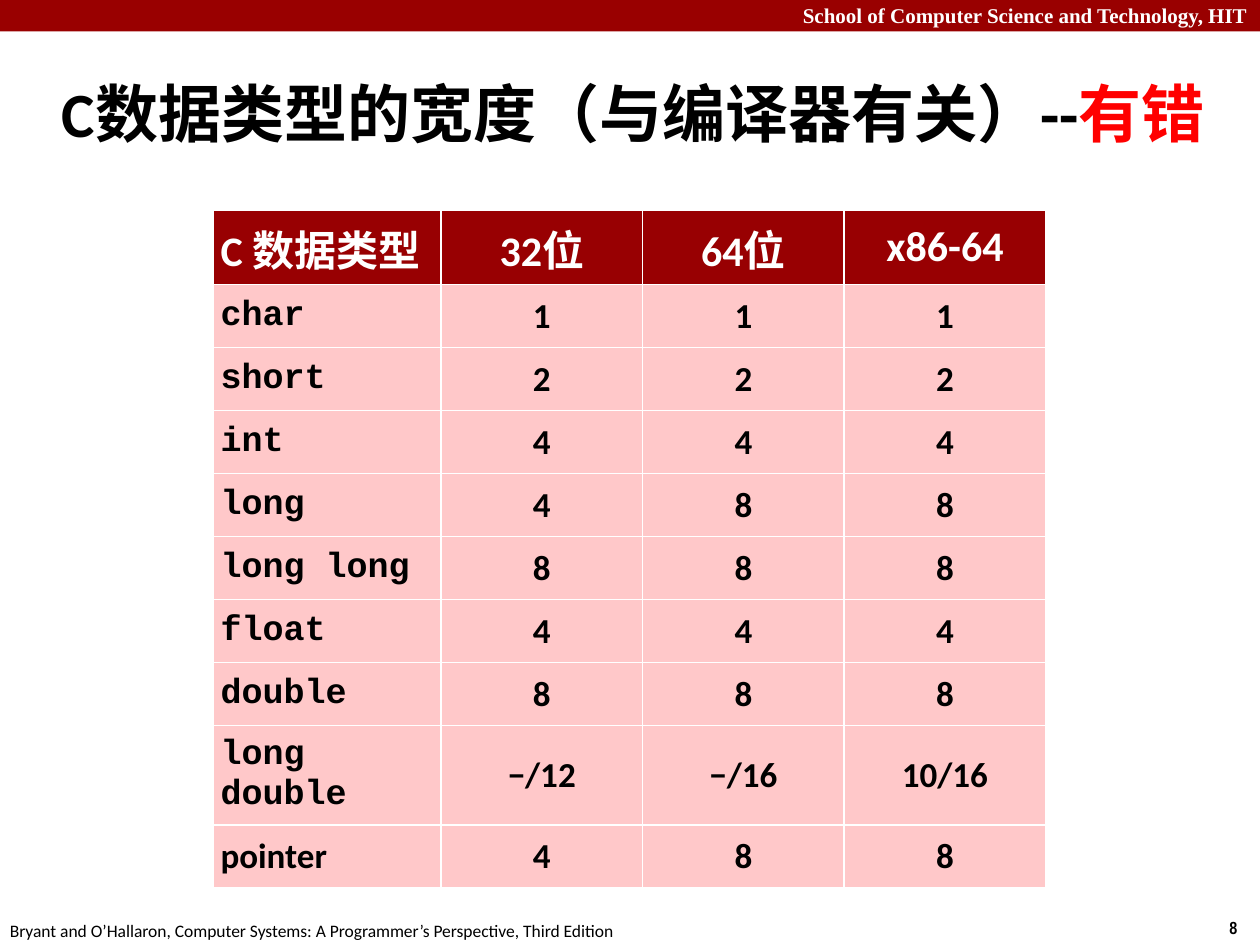
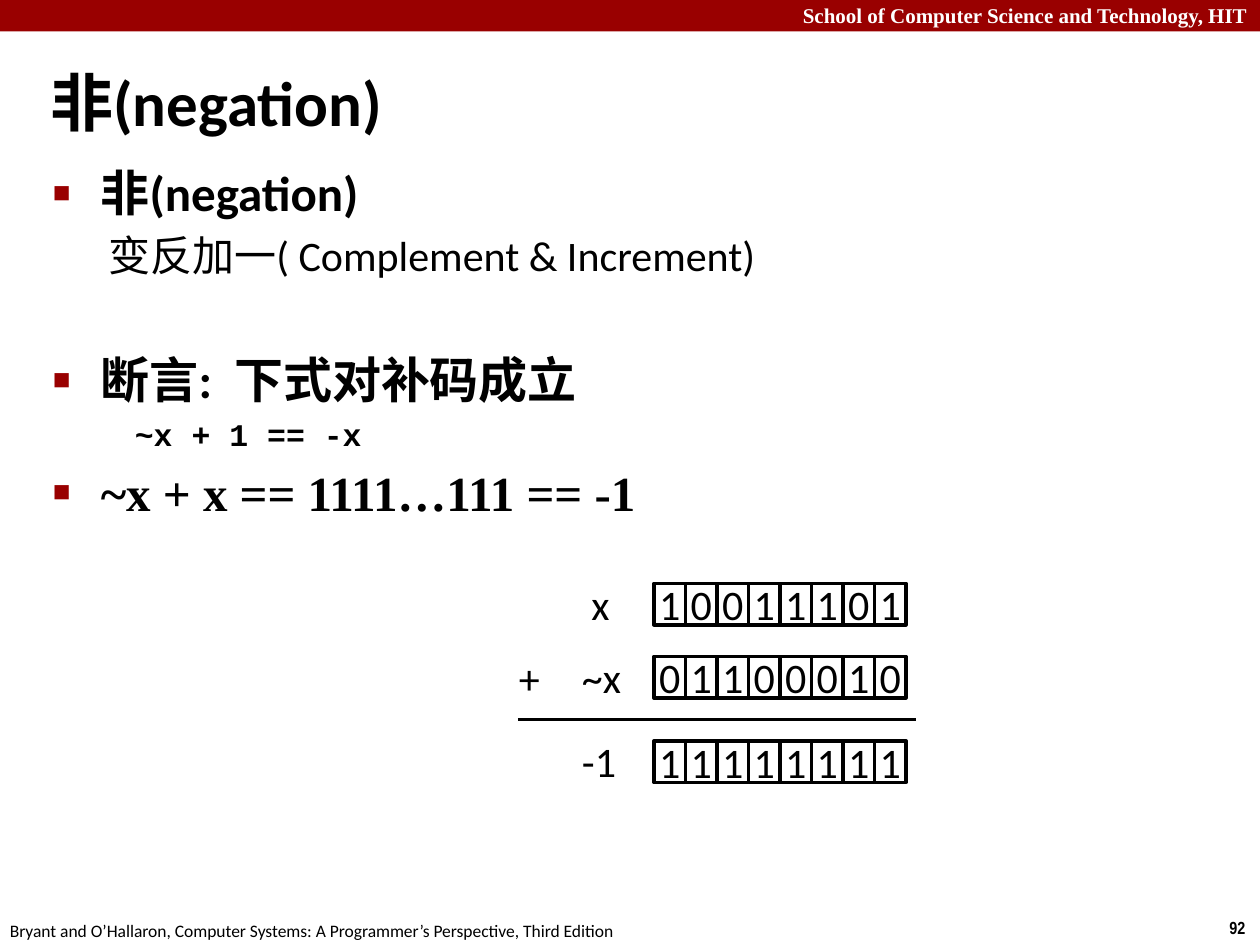
from pptx import Presentation
from pptx.dml.color import RGBColor
from pptx.enum.shapes import MSO_CONNECTOR, MSO_SHAPE
from pptx.enum.text import MSO_ANCHOR, MSO_AUTO_SIZE, PP_ALIGN
from pptx.oxml.ns import qn
from pptx.util import Inches, Pt
from lxml import etree

LEFT, CENTER, RIGHT = PP_ALIGN.LEFT, PP_ALIGN.CENTER, PP_ALIGN.RIGHT
MIDDLE = MSO_ANCHOR.MIDDLE
RECT, STRAIGHT = MSO_SHAPE.RECTANGLE, MSO_CONNECTOR.STRAIGHT
FIT_SHAPE, NO_FIT = MSO_AUTO_SIZE.SHAPE_TO_FIT_TEXT, MSO_AUTO_SIZE.NONE

BAND_RED = RGBColor(0x99, 0x00, 0x00)
HEADER_RED = RGBColor(0x98, 0x00, 0x02)
PINK = RGBColor(0xFF, 0xC8, 0xC9)
RED = RGBColor(0xFF, 0x00, 0x00)
BLACK = RGBColor(0x00, 0x00, 0x00)
WHITE = RGBColor(0xFF, 0xFF, 0xFF)


def set_font(p, size, color=BLACK, name="Calibri", bold=False, align=LEFT):
    p.alignment = align
    p.font.size = Pt(size)
    p.font.name = name
    p.font.bold = bold
    p.font.color.rgb = color


def add_text(s, text, x, y, w, h, size, wrap=False, **style):
    tf = s.shapes.add_textbox(Inches(x), Inches(y), Inches(w), Inches(h)).text_frame
    tf.word_wrap = wrap
    tf.auto_size = FIT_SHAPE
    p = tf.paragraphs[0]
    p.text = text
    set_font(p, size, **style)


prs = Presentation()
prs.slide_width = Inches(10)
prs.slide_height = Inches(7.5)

pages = [
    (5, "8", ["C数据类型的宽度（与编译器有关）--", "有错"], (0.39, 0.48, 9.61, 0.83)),
    (1, "92", ["非(negation)"], (0.3, 0.5, 9.7, 0.61)),
]
for layout, number, title_runs, box in pages:
    s = prs.slides.add_slide(prs.slide_layouts[layout])
    band = s.shapes.add_shape(RECT, 0, 0, Inches(10), Inches(0.25))
    band.shadow.inherit = False
    band.fill.solid()
    band.fill.fore_color.rgb = BAND_RED
    band.line.fill.background()
    add_text(s, "School of Computer Science and Technology, HIT", 0, -0.03, 10, 0.3, 12,
             wrap=True, color=WHITE, name="Times New Roman", bold=True, align=RIGHT)
    add_text(s, number, 9.66, 7.23, 0.34, 0.27, 10, name="Arial Narrow", bold=True)
    add_text(s, "Bryant and O’Hallaron, Computer Systems: A Programmer’s Perspective, Third Edition",
             -0.02, 7.25, 5.08, 0.27, 10)

    title = s.shapes.title
    title.left, title.top, title.width, title.height = [Inches(v) for v in box]
    tf = title.text_frame
    tf.auto_size = NO_FIT
    tf.vertical_anchor = MIDDLE
    p = tf.paragraphs[0]
    set_font(p, 36, bold=True)
    pPr = p._p.get_or_add_pPr()
    pPr.set("marL", str(Inches(0.13)))
    pPr.set("indent", str(Inches(-0.13)))
    for text, color in zip(title_runs, (BLACK, RED)):
        r = p.add_run()
        r.text = text
        r.font.color.rgb = color

s = prs.slides[0]
rows = [
    (0.59, "C 数据类型", "32位", "64位", "x86-64"),
    (0.5, "char", "1", "1", "1"),
    (0.5, "short", "2", "2", "2"),
    (0.5, "int", "4", "4", "4"),
    (0.5, "long", "4", "8", "8"),
    (0.5, "long long", "8", "8", "8"),
    (0.5, "float", "4", "4", "4"),
    (0.5, "double", "8", "8", "8"),
    (0.74, "long double", "−/12", "−/16", "10/16"),
    (0.5, "pointer", "4", "8", "8"),
]
table = s.shapes.add_table(len(rows), 4, Inches(1.69), Inches(1.67),
                           Inches(6.6), Inches(5.33)).table
for i, width in enumerate((1.81, 1.6, 1.6, 1.6)):
    table.columns[i].width = Inches(width)
for i, (height, *texts) in enumerate(rows):
    table.rows[i].height = Inches(height)
    for j, text in enumerate(texts):
        cell = table.cell(i, j)
        cell.fill.solid()
        cell.fill.fore_color.rgb = PINK if i else HEADER_RED
        cell.vertical_anchor = MIDDLE
        cell.margin_left = cell.margin_right = Inches(0.06)
        cell.margin_top = cell.margin_bottom = Inches(0.06)
        p = cell.text_frame.paragraphs[0]
        p.text = text
        is_keyword = j == 0 and 0 < i < len(rows) - 1
        set_font(p, 20 if i else 24, BLACK if i else WHITE,
                 "Courier New" if is_keyword else "Calibri", True, CENTER if j else LEFT)

s = prs.slides[1]
body = s.placeholders[1]
body.left, body.top = Inches(0.32), Inches(1.24)
body.width, body.height = Inches(8.59), Inches(5.71)
tf = body.text_frame
tf.auto_size = NO_FIT
items = [
    ("非(negation)", 0, 28, "Calibri", True, 0.38, -0.38, 0),
    ("变反加一( Complement & Increment)", 1, 24, "Calibri", False, 0.44, 0, 34),
    ("断言:  下式对补码成立", 0, 28, "Calibri", True, 0.38, -0.38, 0),
    (" ~x + 1 == -x", 1, 18, "Courier New", True, 0.81, -0.31, 0),
    ("~x + x == 1111…111 == -1", 0, 28, "Times New Roman", True, 0.38, -0.38, 0),
]
for i, (text, level, size, name, bold, margin, indent, after) in enumerate(items):
    p = tf.add_paragraph() if i else tf.paragraphs[0]
    p.text = text
    p.level = level
    p.space_after = Pt(after)
    set_font(p, size, name=name, bold=bold)
    pPr = p._p.get_or_add_pPr()
    pPr.set("marL", str(Inches(margin)))
    pPr.set("indent", str(Inches(indent)))
    bullet = []
    if level:
        bullet.append(etree.Element(qn("a:buNone")))
    else:
        color = etree.Element(qn("a:buClr"))
        etree.SubElement(color, qn("a:srgbClr"), val=str(BAND_RED))
        bullet += [color, etree.Element(qn("a:buSzPct"), val="60000"),
                   etree.Element(qn("a:buFont"), typeface="Arial"),
                   etree.Element(qn("a:buChar"), char="■")]
    at = pPr.index(pPr.find(qn("a:defRPr")))
    pPr[at:at] = bullet

operands = [
    (" x", 0.43, "10011101", 4.63),
    ("~x", 0.55, "01100010", 5.21),
    ("-1", 0.48, "11111111", 5.88),
]
for label, width, bits, y in operands:
    add_text(s, label, 4.52, y - 0.09, width, 0.51, 24)
    for i, bit in enumerate(bits):
        sp = s.shapes.add_shape(RECT, Inches(5.19 + 0.25 * i), Inches(y), Inches(0.25), Inches(0.33))
        sp.shadow.inherit = False
        sp.fill.solid()
        sp.fill.fore_color.rgb = WHITE
        sp.line.color.rgb = BLACK
        sp.line.width = Pt(2)
        tf = sp.text_frame
        tf.word_wrap = False
        tf.vertical_anchor = MIDDLE
        p = tf.paragraphs[0]
        p.text = bit
        set_font(p, 24, align=CENTER)
add_text(s, "+", 4.02, 5.13, 0.37, 0.51, 24)
sum_line = s.shapes.add_connector(STRAIGHT, Inches(4.11), Inches(5.71), Inches(7.27), Inches(5.71))
sum_line.line.color.rgb = BLACK
sum_line.line.width = Pt(2)
etree.SubElement(sum_line._element.spPr, qn("a:effectLst"))

prs.save("out.pptx")
